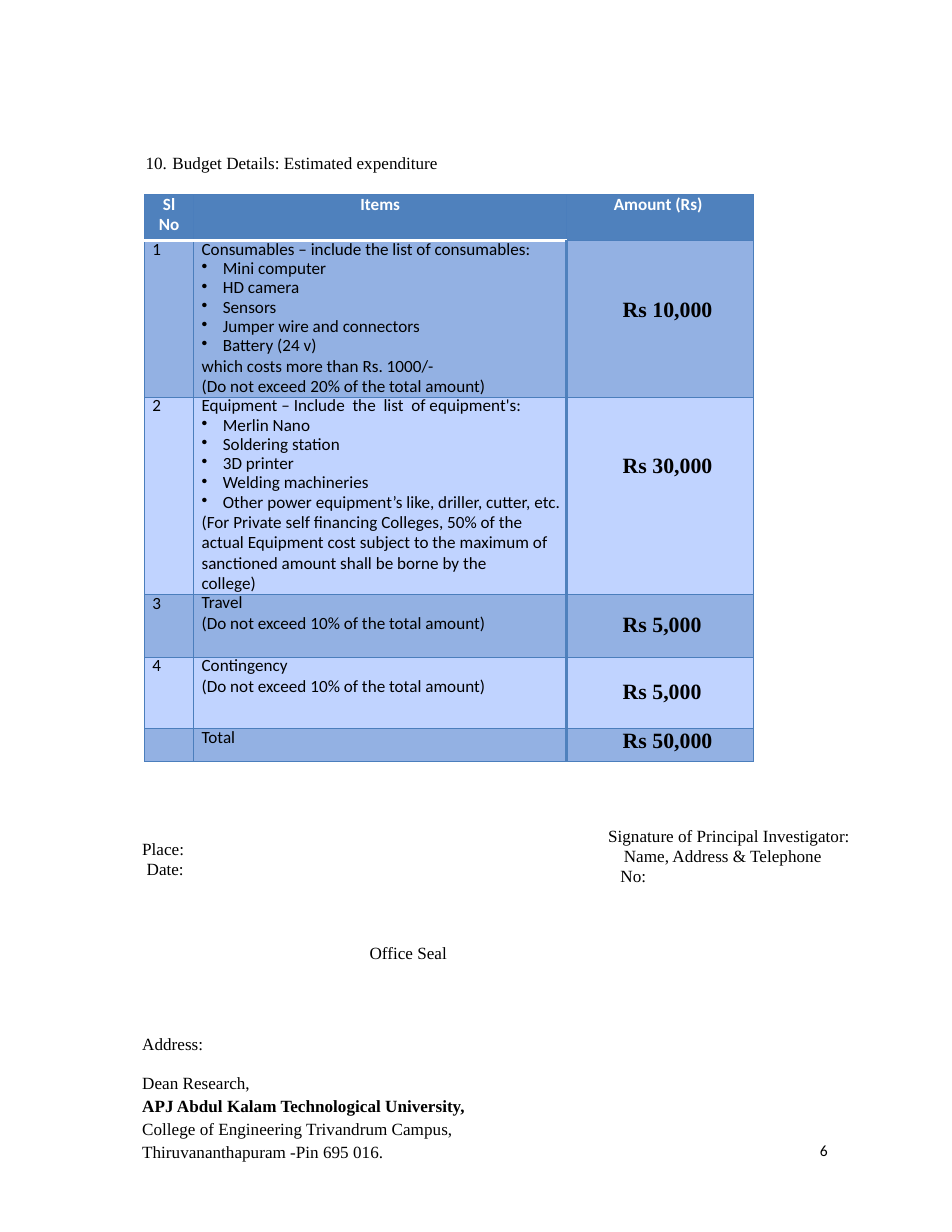
"""Builds the budget details page of a project proposal form."""
from dataclasses import dataclass

from lxml.etree import SubElement
from pptx import Presentation
from pptx.dml.color import RGBColor
from pptx.enum.text import PP_ALIGN
from pptx.oxml.ns import qn
from pptx.util import Inches, Pt


@dataclass(frozen=True)
class Theme:
    serif: str = "Times New Roman"
    sans: str = "Calibri"
    ink: str = "000000"
    white: str = "FFFFFF"
    header: str = "4F81BD"
    grid: str = "4B7EBC"
    shaded: str = "93B1E3"
    light: str = "C0D3FF"
    body: float = 11
    amount: float = 14
    page: float = 10


THEME = Theme()
COLUMNS = (0.44, 3.33, 1.67)
HEADINGS = (("Sl", "No"), ("Items",), ("Amount (Rs)",))
LIMIT = "(Do not exceed {}% of the total amount)"
BUDGET = [
    dict(number="1", height=1.38, amount="Rs 10,000", drop=0.51,
         title="Consumables – include the list of consumables:",
         items=["Mini computer", "HD camera", "Sensors", "Jumper wire and connectors", "Battery (24 v)"],
         notes=["which costs more than Rs. 1000/-", LIMIT.format(20)]),
    dict(number="2", height=1.75, amount="Rs 30,000", drop=0.51,
         title="Equipment – Include  the  list  of equipment's:",
         items=["Merlin Nano", "Soldering station", "3D printer", "Welding machineries",
                "Other power equipment’s like, driller, cutter, etc."],
         notes=["(For Private self financing Colleges, 50% of the actual Equipment cost subject "
                "to the maximum of sanctioned amount shall be borne by the\vcollege)"]),
    dict(number="3", height=0.56, amount="Rs 5,000", drop=0.17,
         title="Travel", items=[], notes=[LIMIT.format(10)]),
    dict(number="4", height=0.64, amount="Rs 5,000", drop=0.21,
         title="Contingency", items=[], notes=[LIMIT.format(10)]),
    dict(number="", height=0.29, amount="Rs 50,000", drop=0,
         title="Total", items=[], notes=[]),
]
LETTER = [
    ((1.29, 1.17, 5.96, 0.39), 0.2,
     [dict(text="Budget Details: Estimated expenditure", left=0.25, hang=-0.24, start=10)]),
    ((7.31, 10.21, 0.1, 0.15), 0,
     [dict(text="6", left=0.01, line=10.6, font=THEME.sans, size=THEME.page)]),
    ((1.26, 7.45, 0.4, 0.39), 0.04,
     [dict(text="Place:", left=0.01, line=13), dict(text="Date:", left=0.05, line=13)]),
    ((5.42, 7.33, 2.22, 0.39), 0.04,
     [dict(text="Signature of Principal Investigator:", left=0.01, line=13),
      dict(text="Name, Address & Telephone", left=0.15, line=13),
      dict(text="No:", left=0.12, line=13)]),
    ((3.29, 8.39, 0.73, 0.21), 0.02, [dict(text="Office Seal", left=0.01)]),
    ((1.26, 9.21, 2.99, 1.17), 0.02,
     [dict(text="Address:", left=0.01),
      dict(text="Dean Research,", left=0.01, line=14.8, before=10.3),
      dict(text="APJ Abdul Kalam Technological University,", left=0.01, line=14.8, bold=True),
      dict(text="College of Engineering Trivandrum Campus,", left=0.01, line=14.8),
      dict(text="Thiruvananthapuram -Pin 695 016.", left=0.01, line=14.8)]),
]


def write(frame, lines, **defaults):
    for index, line in enumerate(lines):
        look = {**defaults, **line}
        paragraph = frame.paragraphs[0] if index == 0 else frame.add_paragraph()
        paragraph.text = look["text"]
        paragraph.alignment = look.get("align", PP_ALIGN.LEFT)
        paragraph.space_before = Pt(look.get("before", 0))
        if "line" in look:
            paragraph.line_spacing = Pt(look["line"])
        font = paragraph.font
        font.name = look.get("font", THEME.serif)
        font.size = Pt(look.get("size", THEME.body))
        font.bold = look.get("bold", False)
        font.color.rgb = RGBColor.from_string(look.get("color", THEME.ink))
        properties = paragraph._p.get_or_add_pPr()
        properties.set("marL", str(Inches(look.get("left", 0))))
        properties.set("indent", str(Inches(look.get("hang", 0))))
        marker = None
        if "start" in look:
            marker = properties.makeelement(
                qn("a:buAutoNum"), {"type": "arabicPeriod", "startAt": str(look["start"])})
        elif "bullet" in look:
            marker = properties.makeelement(qn("a:buChar"), {"char": look["bullet"]})
        if marker is not None:
            properties.find(qn("a:defRPr")).addprevious(marker)


def style_cell(cell, fill, borders, drop=0):
    cell.margin_left = cell.margin_right = cell.margin_bottom = 0
    cell.margin_top = Inches(drop)
    properties = cell._tc.get_or_add_tcPr()
    for side in "LRTB":
        color, width = borders.get(side, (THEME.grid, 0.75))
        edge = SubElement(properties, qn(f"a:ln{side}"), w=str(Pt(width)))
        SubElement(SubElement(edge, qn("a:solidFill")), qn("a:srgbClr"), val=color)
    cell.fill.solid()
    cell.fill.fore_color.rgb = RGBColor.from_string(fill)


def add_budget(slide):
    heights = [0.41] + [row["height"] for row in BUDGET]
    budget = slide.shapes.add_table(
        len(heights), len(COLUMNS), Inches(1.29), Inches(1.74),
        Inches(sum(COLUMNS)), Inches(sum(heights))).table
    budget.first_row = budget.horz_banding = False
    for column, width in zip(budget.columns, COLUMNS):
        column.width = Inches(width)
    for row, height in zip(budget.rows, heights):
        row.height = Inches(height)

    rule = (THEME.white, 2)
    for index, heading in enumerate(HEADINGS):
        cell = budget.cell(0, index)
        last = index == len(HEADINGS) - 1
        place = dict(left=0.42) if last else dict(align=PP_ALIGN.CENTER)
        style_cell(cell, THEME.header, {} if last else {"B": rule})
        write(cell.text_frame, [dict(text=text) for text in heading],
              font=THEME.sans, bold=True, color=THEME.white, line=12.8, **place)

    divider = (THEME.header, 2)
    for index, row in enumerate(BUDGET, 1):
        fill = THEME.shaded if index % 2 else THEME.light
        number, details, amount = (budget.cell(index, column) for column in range(3))
        top = {"T": rule} if index == 1 else {}
        style_cell(number, fill, top)
        style_cell(details, fill, {**top, "R": divider})
        style_cell(amount, fill, {"L": divider}, row["drop"])
        write(number.text_frame, [dict(text=row["number"])], font=THEME.sans, left=0.07, line=12.5)
        bullets = [dict(text=item, left=0.26, hang=-0.19, bullet="•") for item in row["items"]]
        notes = [dict(text=note, line=13.1) for note in row["notes"]]
        write(details.text_frame, [dict(text=row["title"])] + bullets + notes,
              font=THEME.sans, left=0.07, line=12.4)
        write(amount.text_frame, [dict(text=row["amount"])],
              left=0.5, size=THEME.amount, bold=True)


def add_letter(slide):
    for bounds, inset, lines in LETTER:
        frame = slide.shapes.add_textbox(*map(Inches, bounds)).text_frame
        frame.word_wrap = True
        frame.margin_left = frame.margin_right = frame.margin_bottom = 0
        frame.margin_top = Inches(inset)
        write(frame, lines)


deck = Presentation()
deck.slide_width, deck.slide_height = Inches(8.5), Inches(11)
page = deck.slides.add_slide(deck.slide_layouts[6])
add_budget(page)
add_letter(page)
deck.save("out.pptx")
